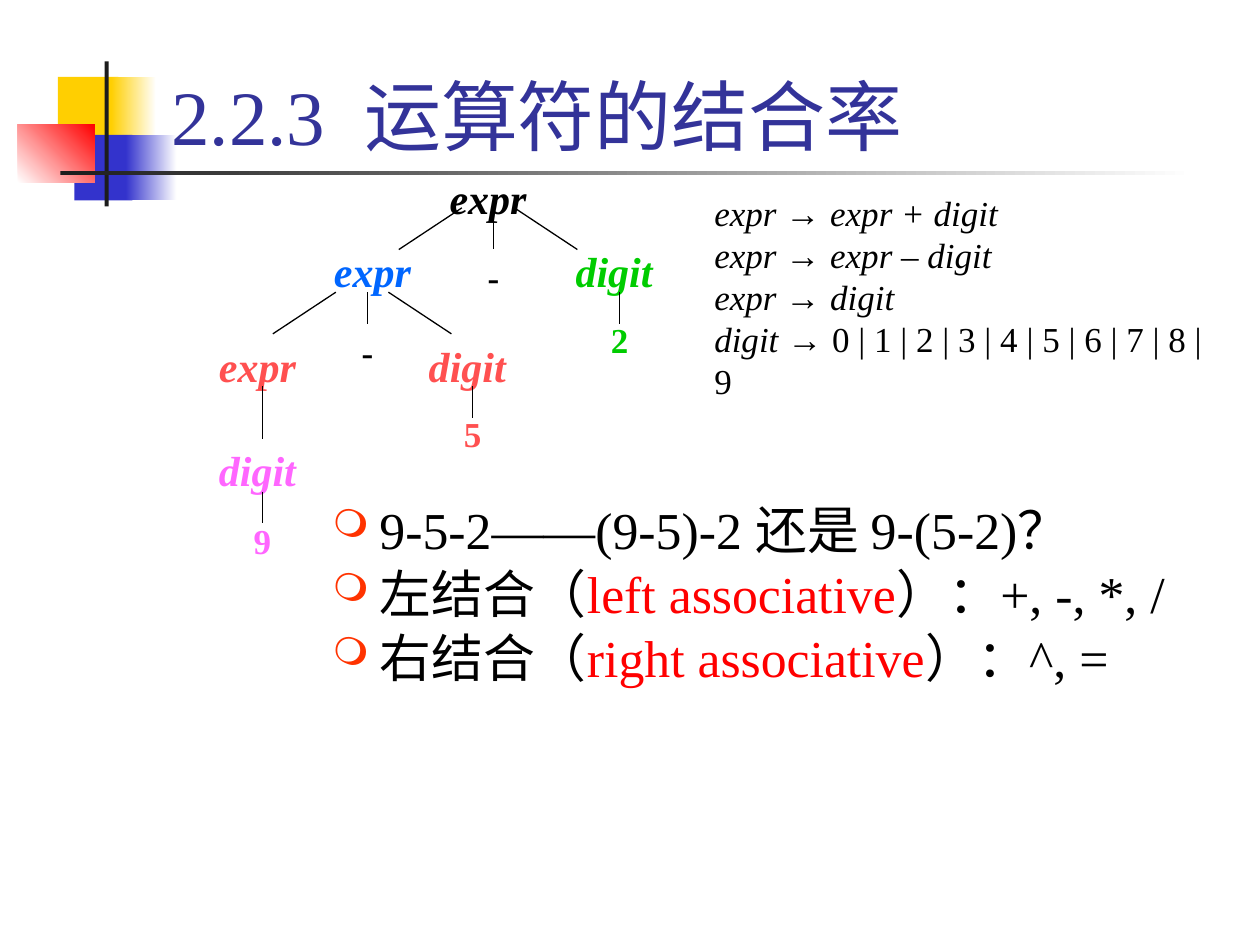
from typing import NamedTuple, Optional

from lxml.etree import SubElement
from pptx import Presentation
from pptx.dml.color import RGBColor
from pptx.enum.shapes import MSO_CONNECTOR, MSO_SHAPE
from pptx.enum.text import MSO_ANCHOR, MSO_AUTO_SIZE, PP_ALIGN
from pptx.oxml.ns import qn
from pptx.util import Cm, Pt

SERIF = "Times New Roman"
BLACK, WHITE, RED = "000000", "FFFFFF", "FF0000"
GOLD, BLUE, CHARCOAL = "FFCF01", "3333CC", "1C1C1C"
CORAL, PINK, GREEN, AZURE = "FF5050", "FF66FF", "00CC00", "0066FF"


class Block(NamedTuple):
    left: float
    top: float
    width: float
    height: float
    start: str
    end: Optional[str] = None  # second gradient colour
    angle: float = 0


class Node(NamedTuple):
    text: str
    center: float
    top: float
    color: str


class Branch(NamedTuple):
    x: float
    y: float
    dx: float
    dy: float


BLOCKS = [
    Block(1.17, 1.55, 1.22, 1.32, GOLD),
    Block(2.24, 1.55, 0.91, 1.32, GOLD, WHITE),
    Block(1.5, 2.72, 1.17, 1.32, BLUE),
    Block(2.54, 2.72, 1.02, 1.32, BLUE, WHITE),
    Block(0.36, 2.51, 1.55, 1.17, WHITE, RED, 45),
    Block(2.11, 1.24, 0.08, 2.92, CHARCOAL),
    Block(1.22, 3.45, 22.86, 0.08, CHARCOAL, WHITE),
]
SYMBOLS = [
    Node("expr", 9.84, 3.35, BLACK),
    Node("digit", 12.38, 4.83, GREEN),
    Node("digit", 9.42, 6.73, CORAL),
    Node("expr", 7.51, 4.83, AZURE),
    Node("digit", 5.19, 8.84, PINK),
    Node("expr", 5.19, 6.73, CORAL),
]
LEAVES = [
    Node("9", 5.29, 10.34, PINK),
    Node("5", 9.53, 8.2, CORAL),
    Node("2", 12.49, 6.3, GREEN),
    Node("-", 7.41, 6.53, BLACK),
    Node("-", 9.95, 5.03, BLACK),
]
SLANT_X, SLANT_Y, DROP = 1.27, 0.84, 0.64
BRANCHES = [
    Branch(9.31, 4.19, -SLANT_X, SLANT_Y),
    Branch(10.37, 4.19, SLANT_X, SLANT_Y),
    Branch(6.77, 5.89, -SLANT_X, SLANT_Y),
    Branch(7.83, 5.89, SLANT_X, SLANT_Y),
    Branch(9.95, 4.39, 0, DROP),
    Branch(5.29, 9.91, 0, DROP),
    Branch(9.53, 7.79, 0, DROP),
    Branch(12.49, 5.89, 0, DROP),
    Branch(7.41, 5.89, 0, DROP),
    Branch(5.29, 7.79, 0, 1.06),
]
RULES = [
    ("expr ", "expr + digit", True),
    ("expr ", "expr – digit", True),
    ("expr ", "digit", True),
    ("digit ", "0 | 1 | 2 | 3 | 4 | 5 | 6 | 7 | 8 | 9", False),
]
QUESTIONS = [
    [("9-5-2——(9-5)-2 还是 9-(5-2)？", BLACK)],
    [("左结合（", BLACK), ("left associative", RED), ("）：+, -, *, /", BLACK)],
    [("右结合（", BLACK), ("right associative", RED), ("）：^, =", BLACK)],
]


def rgb(color: str) -> RGBColor:
    return RGBColor.from_string(color)


def style(font, size: float, color: str, name: str = SERIF,
          bold: bool = False, italic: bool = False) -> None:
    font.name, font.size, font.bold, font.italic = name, Pt(size), bold, italic
    font.color.rgb = rgb(color)


def add_text_frame(slide, left: float, top: float, width: float, height: float):
    frame = slide.shapes.add_textbox(Cm(left), Cm(top), Cm(width), Cm(height)).text_frame
    frame.word_wrap = True
    return frame


def add_styled_run(paragraph, text: str, size: float, color: str, **options) -> None:
    run = paragraph.add_run()
    run.text = text
    style(run.font, size, color, **options)


def add_block(slide, block: Block) -> None:
    shape = slide.shapes.add_shape(MSO_SHAPE.RECTANGLE, Cm(block.left), Cm(block.top),
                                   Cm(block.width), Cm(block.height))
    shape.shadow.inherit = False
    shape.line.fill.background()
    if block.end is None:
        shape.fill.solid()
        shape.fill.fore_color.rgb = rgb(block.start)
        return
    shape.fill.gradient()
    shape.fill.gradient_angle = block.angle
    for stop, color in zip(shape.fill.gradient_stops, (block.start, block.end)):
        stop.color.rgb = rgb(color)


def add_node(slide, node: Node, width: float, height: float, size: float, italic: bool) -> None:
    frame = add_text_frame(slide, node.center - width / 2, node.top, width, height)
    frame.text = node.text
    paragraph = frame.paragraphs[0]
    paragraph.alignment = PP_ALIGN.CENTER
    style(paragraph.runs[0].font, size, node.color, bold=True, italic=italic)


def add_branch(slide, branch: Branch) -> None:
    line = slide.shapes.add_connector(
        MSO_CONNECTOR.STRAIGHT, Cm(branch.x), Cm(branch.y),
        Cm(branch.x + branch.dx), Cm(branch.y + branch.dy))
    line.line.color.rgb = rgb(BLACK)
    line.line.width = Pt(0.75)
    SubElement(line._element.spPr, qn("a:effectLst"))


def add_bullet(paragraph) -> None:
    properties = paragraph._p.get_or_add_pPr()
    properties.set("marL", str(Cm(0.95)))
    properties.set("indent", str(-Cm(0.95)))
    SubElement(SubElement(properties, qn("a:buClr")), qn("a:srgbClr")).set("val", "FF3300")
    SubElement(properties, qn("a:buSzPct")).set("val", "75000")
    SubElement(properties, qn("a:buChar")).set("char", "❍")


def add_title(slide) -> None:
    title = slide.shapes.title
    title._element.getparent().append(title._element)  # in front of the blocks
    title.left, title.top, title.width, title.height = Cm(3.2), Cm(0.2), Cm(21.64), Cm(3.18)
    frame = title.text_frame
    frame.text = "2.2.3  运算符的结合率"
    frame.auto_size = MSO_AUTO_SIZE.NONE
    frame.vertical_anchor = MSO_ANCHOR.BOTTOM
    frame.paragraphs[0].alignment = PP_ALIGN.LEFT
    style(frame.paragraphs[0].runs[0].font, 44, "333399")


def add_questions(slide) -> None:
    frame = add_text_frame(slide, 6.45, 10.16, 18.95, 4.65)
    for index, parts in enumerate(QUESTIONS):
        paragraph = frame.add_paragraph() if index else frame.paragraphs[0]
        add_bullet(paragraph)
        paragraph.line_spacing = 0.8
        if index:
            paragraph.space_before = Pt(8)
        for text, color in parts:
            add_styled_run(paragraph, text, 29.6, color)


def add_grammar(slide) -> None:
    paragraph = add_text_frame(slide, 14.15, 3.73, 10.72, 3.66).paragraphs[0]
    for index, (head, body, italic) in enumerate(RULES):
        if index:
            paragraph.add_line_break()
        add_styled_run(paragraph, head, 20, BLACK, italic=True)
        add_styled_run(paragraph, "→ ", 20, BLACK, name="Arial")
        add_styled_run(paragraph, body, 20, BLACK, italic=italic)


def main() -> None:
    prs = Presentation()
    prs.slide_width, prs.slide_height = Cm(25.4), Cm(19.05)
    slide = prs.slides.add_slide(prs.slide_layouts[5])

    # Corner decoration, title and bullets
    for block in BLOCKS:
        add_block(slide, block)
    add_title(slide)
    add_questions(slide)

    # Parse tree
    for symbol in SYMBOLS:
        add_node(slide, symbol, 2.33, 1.27, 24, True)
    for leaf in LEAVES:
        add_node(slide, leaf, 1.27, 1.12, 20, False)
    for branch in BRANCHES:
        add_branch(slide, branch)

    # Grammar rules
    add_grammar(slide)
    prs.save("out.pptx")


if __name__ == "__main__":
    main()
